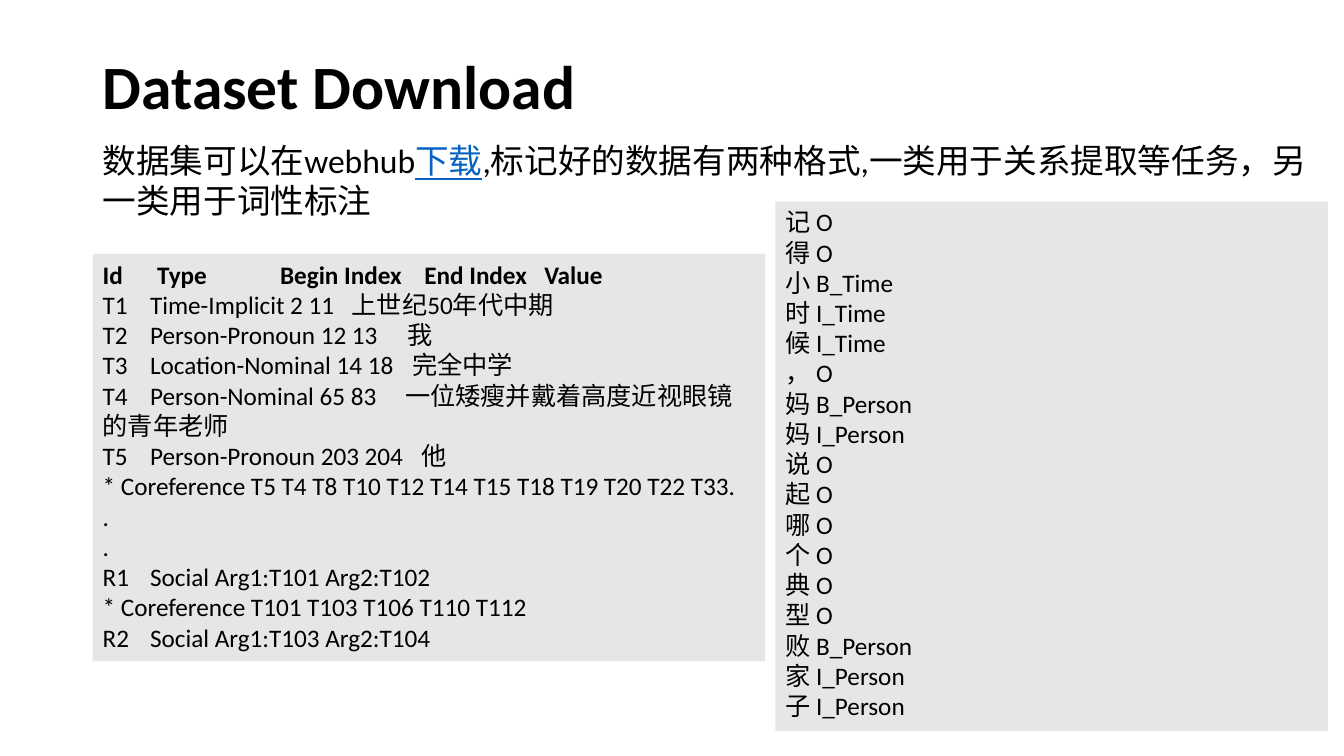
from dataclasses import dataclass

from lxml.etree import SubElement
from pptx import Presentation
from pptx.dml.color import RGBColor
from pptx.enum.shapes import MSO_SHAPE as SHAPE
from pptx.enum.text import MSO_ANCHOR as ANCHOR, PP_ALIGN as ALIGN
from pptx.oxml.ns import qn
from pptx.util import Inches, Pt

COLORS = {"text": "000000", "link": "0563C1", "panel": "E7E6E6"}
FONT = "Calibri"


@dataclass(frozen=True)
class Run:
    text: str
    size: int = 18
    bold: bool = False
    color: str = "text"
    underline: bool = False


@dataclass(frozen=True)
class Line:
    runs: tuple[Run, ...]
    tabs: tuple[float, ...] = ()
    spacing: float = 1.0


@dataclass(frozen=True)
class Block:
    left: float
    top: float
    width: float
    height: float
    lines: list[Line]
    anchor: ANCHOR = ANCHOR.TOP
    fill: str = ""


def row(*cells: str, tabs: tuple[float, ...] = (), bold: bool = False) -> Line:
    return Line((Run("\t".join(cells), bold=bold),), tabs)


def add_line(p, line: Line) -> None:
    p.alignment = ALIGN.LEFT
    p.line_spacing = line.spacing
    if line.tabs:
        stops = SubElement(p._p.get_or_add_pPr(), qn("a:tabLst"))
        for pos in line.tabs:
            SubElement(stops, qn("a:tab"), pos=str(Inches(pos)), algn="l")
    for run in line.runs:
        r = p.add_run()
        r.text = run.text
        r.font.name = FONT
        r.font.size = Pt(run.size)
        r.font.bold = run.bold
        r.font.underline = run.underline
        r.font.color.rgb = RGBColor.from_string(COLORS[run.color])


def add_block(s, block: Block) -> None:
    box = [Inches(v) for v in (block.left, block.top, block.width, block.height)]
    if block.fill:
        sp = s.shapes.add_shape(SHAPE.RECTANGLE, *box)
        sp.shadow.inherit = False
        sp.fill.solid()
        sp.fill.fore_color.rgb = RGBColor.from_string(COLORS[block.fill])
        sp.line.fill.background()
    else:
        sp = s.shapes.add_textbox(*box)
    tf = sp.text_frame
    tf.word_wrap = True
    tf.vertical_anchor = block.anchor
    for i, line in enumerate(block.lines):
        add_line(tf.paragraphs[0] if i == 0 else tf.add_paragraph(), line)


# Title and introduction
title = Line((Run("Dataset Download", 44, bold=True),), spacing=0.9)
intro = Line((
    Run("数据集可以在webhub", 24),
    Run("下载", 24, color="link", underline=True),
    Run(",标记好的数据有两种格式,一类用于关系提取等任务，另一类用于词性标注", 24),
))

# Relation extraction format: id, type with span, value
ID_TAB = 0.47
entities = [
    ("T1", "Time-Implicit 2 11", "上世纪50年代中期", 2.47),
    ("T2", "Person-Pronoun 12 13", "我", 3.02),
    ("T3", "Location-Nominal 14 18", "完全中学", 3.07),
    ("T4", "Person-Nominal 65 83", "一位矮瘦并戴着高度近视眼镜的青年老师", 3.0),
    ("T5", "Person-Pronoun 203 204", "他", 3.16),
]
relations = [
    row("Id", "Type", "Begin Index", "End Index", "Value",
        tabs=(0.54, 1.76, 3.19, 4.38), bold=True),
    *(row(*cells, tabs=(ID_TAB, value_tab)) for *cells, value_tab in entities),
    row("* Coreference T5 T4 T8 T10 T12 T14 T15 T18 T19 T20 T22 T33."),
    row("."),
    row("."),
    row("R1", "Social Arg1:T101 Arg2:T102", tabs=(ID_TAB,)),
    row("* Coreference T101 T103 T106 T110 T112"),
    row("R2", "Social Arg1:T103 Arg2:T104", tabs=(ID_TAB,)),
]

# Sequence tagging format: one character and its tag per line
characters = "记得小时候，妈妈说起哪个典型败家子"
tags = ("O O B_Time I_Time I_Time O B_Person I_Person "
        "O O O O O O B_Person I_Person I_Person").split()
tagging = [row(f"{char} {tag}") for char, tag in zip(characters, tags)]

blocks = [
    Block(0.92, 0.16, 11.5, 1.45, [title], anchor=ANCHOR.MIDDLE),
    Block(0.92, 1.34, 12.33, 0.91, [intro]),
    Block(0.92, 2.52, 6.67, 4.04, relations, fill="panel"),
    Block(7.69, 2, 5.48, 5.25, tagging, fill="panel"),
]

prs = Presentation()
prs.slide_width, prs.slide_height = Inches(13.33), Inches(7.5)
s = prs.slides.add_slide(prs.slide_layouts[6])
for block in blocks:
    add_block(s, block)
prs.save("out.pptx")
